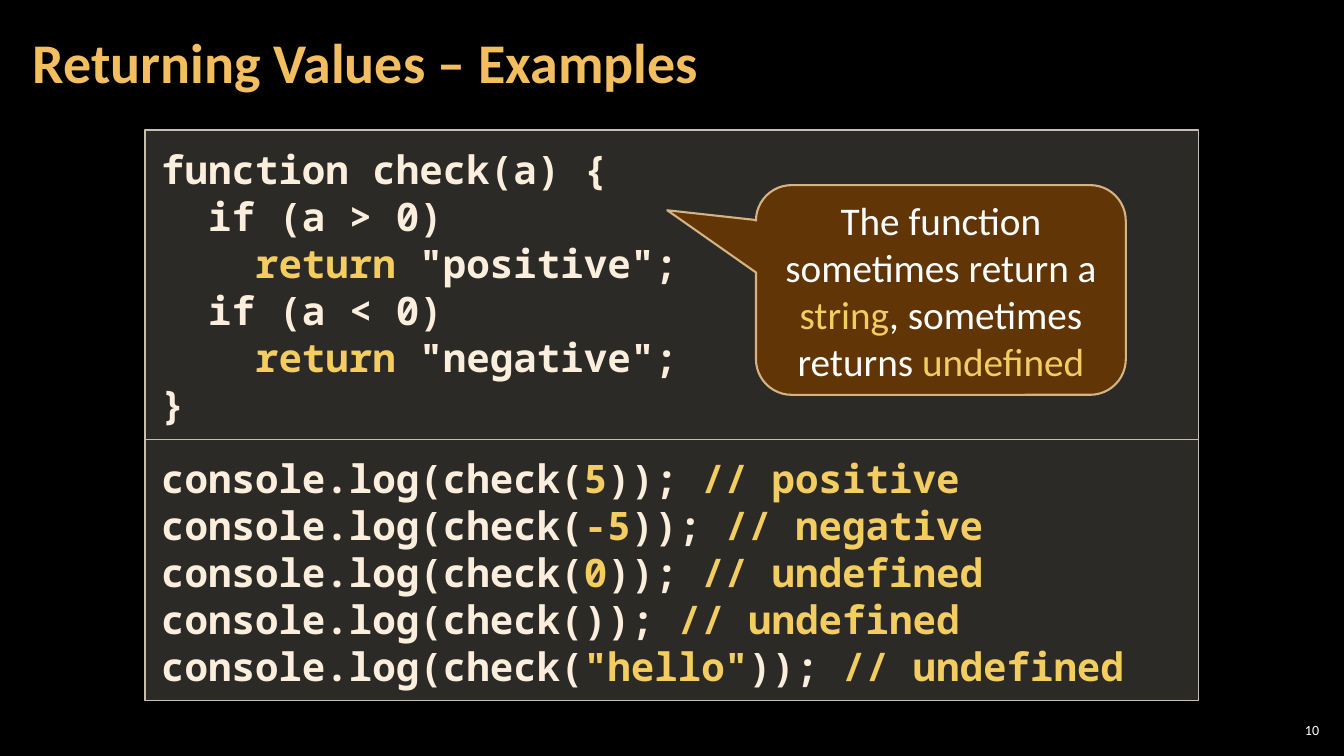
from lxml import etree
from pptx import Presentation
from pptx import util as u
from pptx.dml.color import RGBColor
from pptx.enum import shapes, text
from pptx.oxml.ns import qn

BLACK = RGBColor(0x00, 0x00, 0x00)
WHITE = RGBColor(0xFF, 0xFF, 0xFF)
TITLE_GOLD = RGBColor(0xF3, 0xBE, 0x60)
ACCENT = RGBColor(0xF3, 0xCD, 0x60)
CODE_CREAM = RGBColor(0xFB, 0xEE, 0xDC)
PANEL_FILL = RGBColor(0xD9, 0xD5, 0xC7)
PANEL_LINE = RGBColor(0xC7, 0xBF, 0xAC)
CALLOUT_FILL = RGBColor(0x66, 0x36, 0x06)
CALLOUT_LINE = RGBColor(0xF8, 0xD4, 0x9E)

FUNCTION_LINES = [
    "function check(a) {",
    "  if (a > 0)",
    "    |return| \"positive\";",
    "  if (a < 0)",
    "    |return| \"negative\";",
    "}",
]
CALLS = [
    ("5", "positive"),
    ("-5", "negative"),
    ("0", "undefined"),
    ("", "undefined"),
    ("\"hello\"", "undefined"),
]


def write_text(shape, lines, *, size, color, font="Calibri", bold=False,
               align=text.PP_ALIGN.LEFT, anchor=text.MSO_ANCHOR.MIDDLE,
               insets=(7.2, 3.6, 7.2, 3.6), spacing=None):
    """Fill a shape with lines; parts between bars take the accent colour."""
    frame = shape.text_frame
    frame.word_wrap = True
    frame.vertical_anchor = anchor
    (frame.margin_left, frame.margin_top,
     frame.margin_right, frame.margin_bottom) = map(u.Pt, insets)
    for index, line in enumerate(lines):
        para = frame.add_paragraph() if index else frame.paragraphs[0]
        para.alignment = align
        if spacing:
            para.line_spacing = spacing
        for position, part in enumerate(line.split("|")):
            if not part:
                continue
            span = para.add_run()
            span.text = part
            span.font.name = font
            span.font.size = u.Pt(size)
            span.font.bold = bold
            span.font.color.rgb = ACCENT if position % 2 else color


def set_opacity(color_format_owner, percent):
    for color in color_format_owner.iter(qn("a:srgbClr")):
        alpha = etree.SubElement(color, qn("a:alpha"))
        alpha.set("val", str(percent * 1000))


def add_panel(page, kind, box, *, fill, opacity, line, width, line_opacity=100):
    panel = page.shapes.add_shape(kind, *map(u.Pt, box))
    panel.shadow.inherit = False
    panel.fill.solid()
    panel.fill.fore_color.rgb = fill
    panel.line.color.rgb = line
    panel.line.width = u.Pt(width)
    properties = panel._element.spPr
    set_opacity(properties.find(qn("a:solidFill")), opacity)
    set_opacity(properties.find(qn("a:ln")), line_opacity)
    return panel


def add_title(page, box):
    title = page.shapes.add_textbox(*map(u.Pt, box))
    write_text(title, ["Returning Values – Examples"], size=40, bold=True,
               color=TITLE_GOLD, insets=(8.5, 2.8, 8.5, 2.8), spacing=0.9)


def add_code_panel(page, box, lines):
    panel = add_panel(page, shapes.MSO_SHAPE.RECTANGLE, box, fill=PANEL_FILL,
                      opacity=20, line=PANEL_LINE, width=1)
    write_text(panel, lines, size=28, bold=True, color=CODE_CREAM,
               font="Noto Sans Mono", anchor=text.MSO_ANCHOR.TOP,
               insets=(11.4, 10.6, 11.4, 6), spacing=u.Pt(33.6))


def add_code(page, box):
    """Stack the function above its calls."""
    left, top, width, height = box
    function_height = 221
    add_code_panel(page, (left, top, width, function_height), FUNCTION_LINES)
    calls = []
    for argument, result in CALLS:
        calls.append(f"console.log(check(|{argument}|));| // {result}")
    add_code_panel(page, (left, top + function_height, width,
                          height - function_height), calls)


def add_callout(page, box):
    callout = add_panel(page, shapes.MSO_SHAPE.ROUNDED_RECTANGULAR_CALLOUT, box,
                        fill=CALLOUT_FILL, opacity=95, line=CALLOUT_LINE,
                        width=1.5, line_opacity=80)
    for index, value in enumerate((-0.74, -0.38, 0.17)):
        callout.adjustments[index] = value
    write_text(callout, ["The function sometimes return a |string|, "
                         "sometimes returns |undefined"],
               size=28, color=WHITE, align=text.PP_ALIGN.CENTER)


def add_page_number(page, box):
    number = page.shapes.add_textbox(*map(u.Pt, box))
    write_text(number, ["10"], size=10, color=WHITE,
               align=text.PP_ALIGN.RIGHT, insets=(2.8, 2.8, 2.8, 2.8))


def main():
    deck = Presentation()
    deck.slide_width, deck.slide_height = u.Pt(960), u.Pt(540)
    page = deck.slides.add_slide(deck.slide_layouts[6])
    page.background.fill.solid()
    page.background.fill.fore_color.rgb = BLACK
    add_page_number(page, (911, 514, 34, 15))
    add_title(page, (15, 3, 754, 87))
    add_code(page, (103.7, 93, 752.5, 407.4))
    add_callout(page, (540, 132.2, 264.2, 149.8))
    deck.save("out.pptx")


if __name__ == "__main__":
    main()
